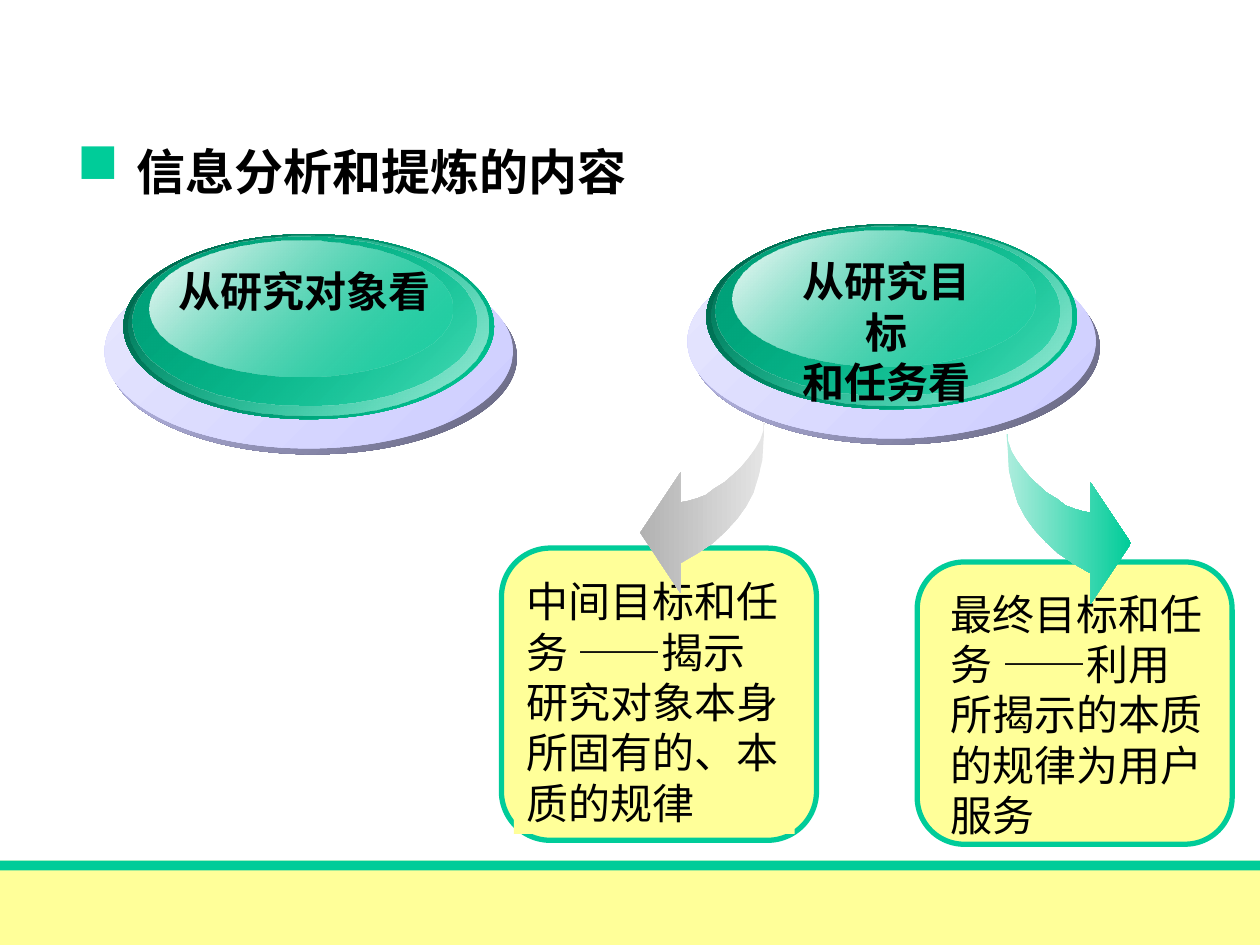
from typing import NamedTuple, Optional

from lxml import etree
from pptx import Presentation
from pptx.dml.color import RGBColor
from pptx.enum.shapes import MSO_SHAPE
from pptx.enum.text import MSO_AUTO_SIZE, PP_ALIGN
from pptx.oxml.ns import qn
from pptx.util import Cm, Pt

RECT = MSO_SHAPE.RECTANGLE
ROUND = MSO_SHAPE.ROUNDED_RECTANGLE
OVAL = MSO_SHAPE.OVAL
LEFT, CENTER = PP_ALIGN.LEFT, PP_ALIGN.CENTER
GROW = MSO_AUTO_SIZE.SHAPE_TO_FIT_TEXT

GREEN, YELLOW, BLACK = "00CC99", "FFFF99", "000000"
SERIF, SANS = "Times New Roman", "Arial"


class Box(NamedTuple):
    """Left, top, width and height in centimetres."""
    x: float
    y: float
    w: float
    h: float


class Stop(NamedTuple):
    tone: str
    alpha: int = 100


class Layer(NamedTuple):
    box: Box
    start: Stop
    end: Stop


class Disc(NamedTuple):
    x: float
    y: float
    label: Box
    lines: list[str]
    font: str


class Card(NamedTuple):
    frame: Box
    body: Box
    text: str
    fill: Optional[str] = None


class Arrow(NamedTuple):
    x: float
    y: float
    side: int
    start: Stop
    end: Stop


# Layers of a disc, from back to front, placed from its top left corner
LAYERS = [
    Layer(Box(0.08, 0.53, 8.23, 3.91), Stop("62627B"), Stop("CCCCFF")),
    Layer(Box(0, 0.41, 8.23, 3.91), Stop("CCCCFF"), Stop("E7E7FE")),
    Layer(Box(0.38, 0, 7.47, 3.73), Stop(GREEN), Stop("005E46")),
    Layer(Box(0.48, 0.03, 7.26, 3.63), Stop("A5ECDA"), Stop(GREEN, 0)),
    Layer(Box(0.56, 0.05, 6.93, 3.4), Stop(GREEN, 48), Stop("00A078")),
    Layer(Box(0.91, 0.13, 6.1, 2.74), Stop(GREEN, 38), Stop("FEFEFE")),
]
DISCS = [
    Disc(2.11, 4.72, Box(3.35, 5.23, 5.59, 1.27), ["从研究对象看"], SANS),
    Disc(13.86, 4.52, Box(15.52, 5.03, 4.72, 2.29),
         ["从研究目标", "和任务看"], SERIF),
]
CARDS = [
    Card(Box(10.11, 11.05, 6.35, 5.89), Box(10.36, 11.48, 5.66, 5.33),
         "中间目标和任务 ——揭示研究对象本身所固有的、本质的规律", YELLOW),
    Card(Box(18.49, 11.33, 6.35, 5.69), Box(18.92, 11.73, 5.72, 5.33),
         "最终目标和任务 ——利用所揭示的本质的规律为用户服务"),
]
# Outline of an arrow that bends to the right, from its tail
BEND = [
    (0, 0), (0.03, 0.38), (0.05, 0.74), (0.13, 1.07), (0.23, 1.4),
    (0.38, 1.68), (0.56, 1.93), (0.79, 2.18), (1.04, 2.41), (1.35, 2.62),
    (1.7, 2.82), (1.7, 3.43), (2.51, 2.21), (1.7, 0.99), (1.7, 1.6),
    (1.55, 1.57), (1.37, 1.52), (1.19, 1.45), (1.02, 1.32), (0.81, 1.19),
    (0.64, 1.04), (0.48, 0.89), (0.33, 0.71), (0.2, 0.53), (0.1, 0.36),
    (0.03, 0.15), (0.03, 0),
]
ARROWS = [
    Arrow(15.42, 8.53, -1, Stop("E5E5E5"), Stop("B2B2B2")),
    Arrow(20.29, 8.74, 1, Stop("ADEDDD"), Stop(GREEN)),
]


def color(tone: str) -> RGBColor:
    return RGBColor.from_string(tone)


def place(box: Box) -> list[Cm]:
    return [Cm(v) for v in box]


def paint(shape, tone: str) -> None:
    shape.fill.solid()
    shape.fill.fore_color.rgb = color(tone)


def blend(shape, start: Stop, end: Stop, angle: int) -> None:
    """Fill with a linear gradient; the angle runs counter-clockwise."""
    shape.fill.gradient()
    shape.fill.gradient_angle = angle
    for mark, stop in zip(shape.fill.gradient_stops, (start, end)):
        mark.color.rgb = color(stop.tone)
    tags = shape._element.spPr.iter(qn("a:srgbClr"))
    for tag, stop in zip(list(tags), (start, end)):
        if stop.alpha < 100:
            etree.SubElement(tag, qn("a:alpha"), val=str(stop.alpha * 1000))


def add_form(slide, kind, box: Box):
    shape = slide.shapes.add_shape(kind, *place(box))
    shape.shadow.inherit = False
    shape.line.fill.background()
    return shape


def add_text(slide, box: Box, lines: list[str], font: str = SERIF,
             size: int = 24, bold: bool = False, align=LEFT,
             wrap: bool = True):
    area = slide.shapes.add_textbox(*place(box))
    frame = area.text_frame
    frame.word_wrap = wrap
    frame.auto_size = GROW
    frame.text = "\n".join(lines)
    for para in frame.paragraphs:
        para.alignment = align
        para.font.name = font
        para.font.size = Pt(size)
        para.font.bold = bold
        para.font.color.rgb = color(BLACK)
    return area


def add_bullet(para) -> None:
    props = para._p.get_or_add_pPr()
    props.set("marL", str(Cm(1.21)))
    props.set("indent", str(Cm(-1.21)))
    tint = etree.Element(qn("a:buClr"))
    etree.SubElement(tint, qn("a:srgbClr"), val=GREEN)
    size = etree.Element(qn("a:buSzPct"), val="115000")
    char = etree.Element(qn("a:buChar"), char="■")
    for spot, part in enumerate((tint, size, char)):
        props.insert(spot, part)


def add_disc(slide, disc: Disc) -> None:
    for box, start, end in LAYERS:
        spot = box._replace(x=disc.x + box.x, y=disc.y + box.y)
        blend(add_form(slide, OVAL, spot), start, end, 135)
    add_text(slide, disc.label, disc.lines, disc.font, bold=True,
             align=CENTER, wrap=False)


def add_card(slide, card: Card) -> None:
    frame = add_form(slide, ROUND, card.frame)
    paint(frame, YELLOW)
    frame.line.color.rgb = color(GREEN)
    frame.line.width = Pt(3)
    body = add_text(slide, card.body, [card.text])
    if card.fill:
        paint(body, card.fill)


def add_arrow(slide, arrow: Arrow) -> None:
    dots = [(Cm(arrow.x + arrow.side * x), Cm(arrow.y + y)) for x, y in BEND]
    pen = slide.shapes.build_freeform(*dots[0])
    pen.add_line_segments(dots[1:], close=True)
    shape = pen.convert_to_shape()
    shape.shadow.inherit = False
    shape.line.fill.background()
    blend(shape, arrow.start, arrow.end, 0 if arrow.side > 0 else 180)


def main() -> None:
    deck = Presentation()
    deck.slide_width, deck.slide_height = Cm(25.4), Cm(19.05)
    slide = deck.slides.add_slide(deck.slide_layouts[6])
    paint(add_form(slide, RECT, Box(0, 17.35, 25.4, 1.7)), YELLOW)
    paint(add_form(slide, RECT, Box(0, 17.35, 25.4, 0.2)), GREEN)
    title = add_text(slide, Box(1.3, 2.72, 18.62, 1.8),
                     ["信息分析和提炼的内容"], size=28, bold=True)
    add_bullet(title.text_frame.paragraphs[0])
    for disc in DISCS:
        add_disc(slide, disc)
    for card in CARDS:
        add_card(slide, card)
    for arrow in ARROWS:
        add_arrow(slide, arrow)
    deck.save("out.pptx")


if __name__ == "__main__":
    main()
